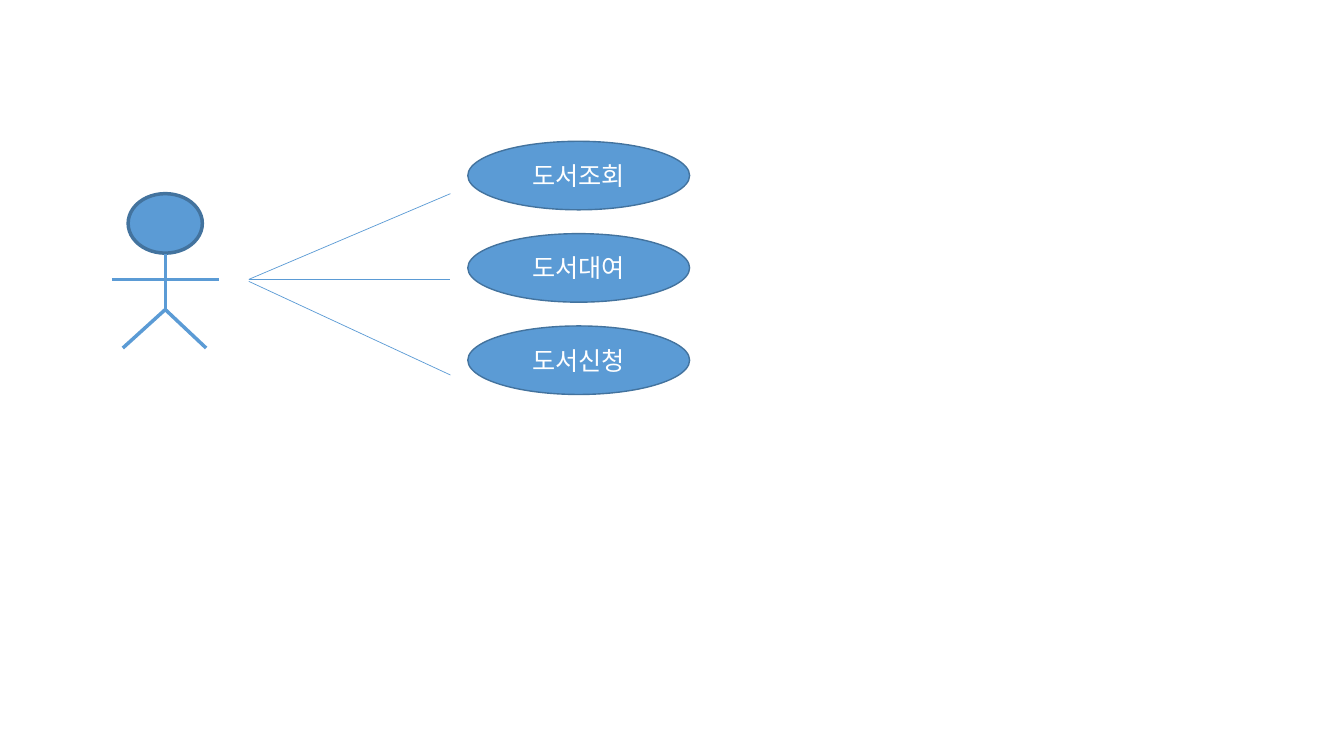
from dataclasses import dataclass

from pptx import Presentation
from pptx import util as u
from pptx.dml.color import RGBColor
from pptx.enum import shapes, text
from pptx.oxml.ns import qn


@dataclass(frozen=True)
class Theme:
    blue: RGBColor = RGBColor(0x5B, 0x9B, 0xD5)
    edge: RGBColor = RGBColor(0x43, 0x73, 0x9E)
    white: RGBColor = RGBColor(0xFF, 0xFF, 0xFF)
    font: str = "Noto Sans CJK KR"
    label: u.Pt = u.Pt(18)
    thin: u.Pt = u.Pt(0.5)
    outline: u.Pt = u.Pt(1)
    thick: u.Pt = u.Pt(2.5)


T = Theme()


def set_attrs(obj, **values):
    for name, value in values.items():
        setattr(obj, name, value)


def add_ellipse(parent, x, y, w, h, width):
    sp = parent.shapes.add_shape(
        shapes.MSO_SHAPE.OVAL, u.Cm(x), u.Cm(y), u.Cm(w), u.Cm(h))
    sp.shadow.inherit = False
    sp.fill.solid()
    sp.fill.fore_color.rgb = T.blue
    sp.line.color.rgb = T.edge
    sp.line.width = width
    return sp


def add_line(parent, x1, y1, x2, y2, width):
    ln = parent.shapes.add_connector(
        shapes.MSO_CONNECTOR.STRAIGHT, u.Cm(x1), u.Cm(y1), u.Cm(x2), u.Cm(y2))
    ln.line.color.rgb = T.blue
    ln.line.width = width
    sp_pr = ln._element.spPr
    sp_pr.append(sp_pr.makeelement(qn("a:effectLst"), {}))


def add_label(sp, label):
    tf = sp.text_frame
    set_attrs(tf, word_wrap=True, vertical_anchor=text.MSO_ANCHOR.MIDDLE)
    p = tf.paragraphs[0]
    p.alignment = text.PP_ALIGN.CENTER
    r = p.add_run()
    r.text = label
    set_attrs(r.font, size=T.label, name=T.font)
    r.font.color.rgb = T.white
    # Korean glyphs take the East Asian typeface
    r_pr = r.font._element
    r_pr.append(r_pr.makeelement(qn("a:ea"), {"typeface": T.font}))


def add_use_cases(slide, x, y, w, h, labels, gap=0.6):
    group = slide.shapes.add_group_shape()
    height = (h - gap * (len(labels) - 1)) / len(labels)
    for i, label in enumerate(labels):
        sp = add_ellipse(group, x, y + i * (height + gap), w, height, T.outline)
        add_label(sp, label)


def add_actor(slide, x, y, w, h):
    group = slide.shapes.add_group_shape()
    mid, neck, arms, hip = x + w / 2, y + 1.52, y + 2.16, y + 2.92
    head_w, head_h = 1.87, 1.5
    add_ellipse(group, mid - head_w / 2, y, head_w, head_h, T.thick)
    # Arms, body and legs
    limbs = [(x, arms, x + w, arms), (mid, neck, mid, hip),
             (mid, hip, mid + 1.03, y + h), (mid, hip, mid - 1.07, y + h)]
    for limb in limbs:
        add_line(group, *limb, T.thick)


def add_associations(slide, x, y, w, h):
    mid = y + 2.16
    for start, end in [(mid, y), (mid, mid), (mid + 0.05, y + h)]:
        add_line(slide, x, start, x + w, end, T.thin)


prs = Presentation()
set_attrs(prs, slide_width=u.Cm(33.87), slide_height=u.Cm(19.05))
slide = prs.slides.add_slide(prs.slide_layouts[6])

# Use case diagram: cases, actor and the lines between them
add_use_cases(slide, 11.79, 3.56, 5.59, 6.38, ["도서조회", "도서대여", "도서신청"])
add_actor(slide, 2.82, 4.88, 2.69, 3.89)
add_associations(slide, 6.27, 4.88, 5.08, 4.57)

prs.save("out.pptx")
